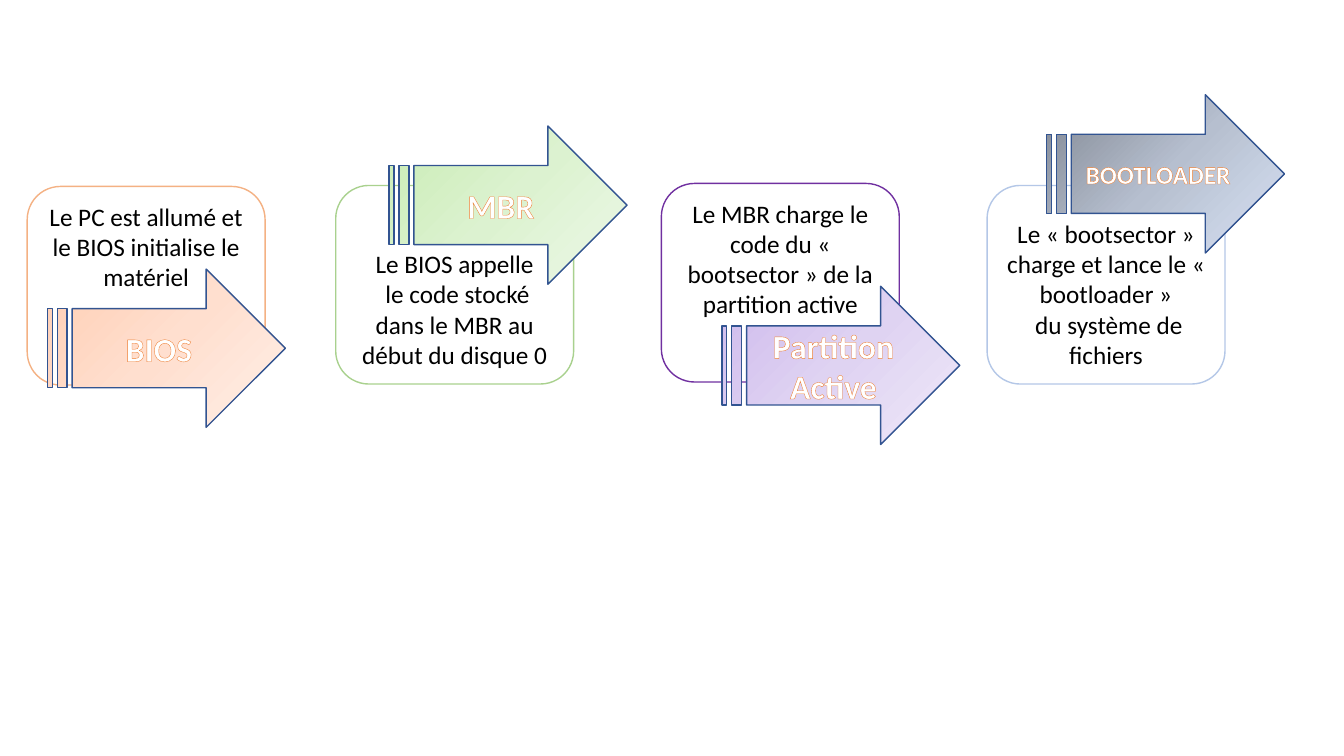
from copy import deepcopy
from lxml import etree
from pptx import Presentation
from pptx.dml.color import RGBColor
from pptx.enum import shapes, text
from pptx.oxml.ns import qn
from pptx.util import Inches, Pt

FONT = "Calibri"
COLORS = {"box": "FFFFFF", "body": "000000", "label": "FFFFFF",
          "label_outline": "ED7D31", "arrow_line": "325491"}
BOX_SIZE = (2.36, 1.97)
ARROW_SIZE = (2.36, 1.57)
TOP, BOTTOM = text.MSO_ANCHOR.TOP, text.MSO_ANCHOR.BOTTOM

STEPS = [
    {"box": (0.27, 1.85), "line": "F4B183", "anchor": TOP,
     "body": ["Le PC est allumé et le BIOS initialise le matériel"],
     "arrow": (0.47, 2.67), "label": "BIOS", "size": 24,
     "gradient": ["FFCEB3", "FFDFCF", "FFEFE7"]},
    {"box": (3.33, 1.84), "line": "A9D18E", "anchor": BOTTOM,
     "body": ["Le BIOS appelle",
              " le code stocké dans le MBR au début du disque 0"],
     "arrow": (3.86, 1.25), "label": "MBR", "size": 24,
     "gradient": ["C9ECB4", "DCF2D0", "EDF8E8"]},
    {"box": (6.56, 1.82), "line": "7030A0", "anchor": TOP,
     "body": ["Le MBR charge le code du « bootsector » de la partition active"],
     "arrow": (7.16, 2.84), "label": "Partition Active", "size": 24,
     "gradient": ["CEB9EC", "DFD3F2", "EFE9F8"]},
    {"box": (9.79, 1.84), "line": "B4C7E7", "anchor": BOTTOM,
     "body": ["Le « bootsector » charge et lance le « bootloader »",
              " du système de fichiers"],
     "arrow": (10.38, 0.94), "label": "BOOTLOADER", "size": 18,
     "gradient": ["808691", "B6BFCF", "D8E2F5"]},
]


def rgb(value):
    return RGBColor.from_string(value)


def add_shape(s, kind, at, size, line):
    sp = s.shapes.add_shape(kind, *(Inches(v) for v in at + size))
    sp.shadow.inherit = False
    sp.line.color.rgb = rgb(line)
    sp.line.width = Pt(1)
    return sp


def write(sp, lines, size, color, anchor, bold=False):
    tf = sp.text_frame
    tf.word_wrap = True
    tf.vertical_anchor = anchor
    tf.text = "\n".join(lines)
    for p in tf.paragraphs:
        p.alignment = text.PP_ALIGN.CENTER
        for r in p.runs:
            r.font.name = FONT
            r.font.size = Pt(size)
            r.font.bold = bold
            r.font.color.rgb = rgb(color)


def fill_gradient(sp, colors):
    """Spread the colours evenly from top left to bottom right."""
    sp.fill.gradient()
    sp.fill.gradient_angle = 315
    stops = sp._element.spPr.find(".//" + qn("a:gsLst"))
    while len(stops) < len(colors):
        stops.append(deepcopy(stops[0]))
    for i, stop in enumerate(sp.fill.gradient_stops):
        stop.color.rgb = rgb(colors[i])
        stop.position = i / (len(colors) - 1)


def outline_text(r, color, width):
    ln = etree.Element(qn("a:ln"), w=str(Pt(width)))
    fill = etree.SubElement(ln, qn("a:solidFill"))
    etree.SubElement(fill, qn("a:srgbClr"), val=color)
    r.font._element.insert(0, ln)


def add_step(s, step):
    box = add_shape(s, shapes.MSO_SHAPE.ROUNDED_RECTANGLE,
                    step["box"], BOX_SIZE, step["line"])
    box.fill.solid()
    box.fill.fore_color.rgb = rgb(COLORS["box"])
    write(box, step["body"], 18, COLORS["body"], step["anchor"])

    arrow = add_shape(s, shapes.MSO_SHAPE.STRIPED_RIGHT_ARROW,
                      step["arrow"], ARROW_SIZE, COLORS["arrow_line"])
    fill_gradient(arrow, step["gradient"])
    write(arrow, [step["label"]], step["size"], COLORS["label"],
          text.MSO_ANCHOR.MIDDLE, bold=True)
    outline_text(arrow.text_frame.paragraphs[0].runs[0],
                 COLORS["label_outline"], 0.52)


def main():
    prs = Presentation()
    prs.slide_width, prs.slide_height = Inches(13.33), Inches(7.5)
    s = prs.slides.add_slide(prs.slide_layouts[6])
    for step in STEPS:
        add_step(s, step)
    prs.save("out.pptx")


if __name__ == "__main__":
    main()
